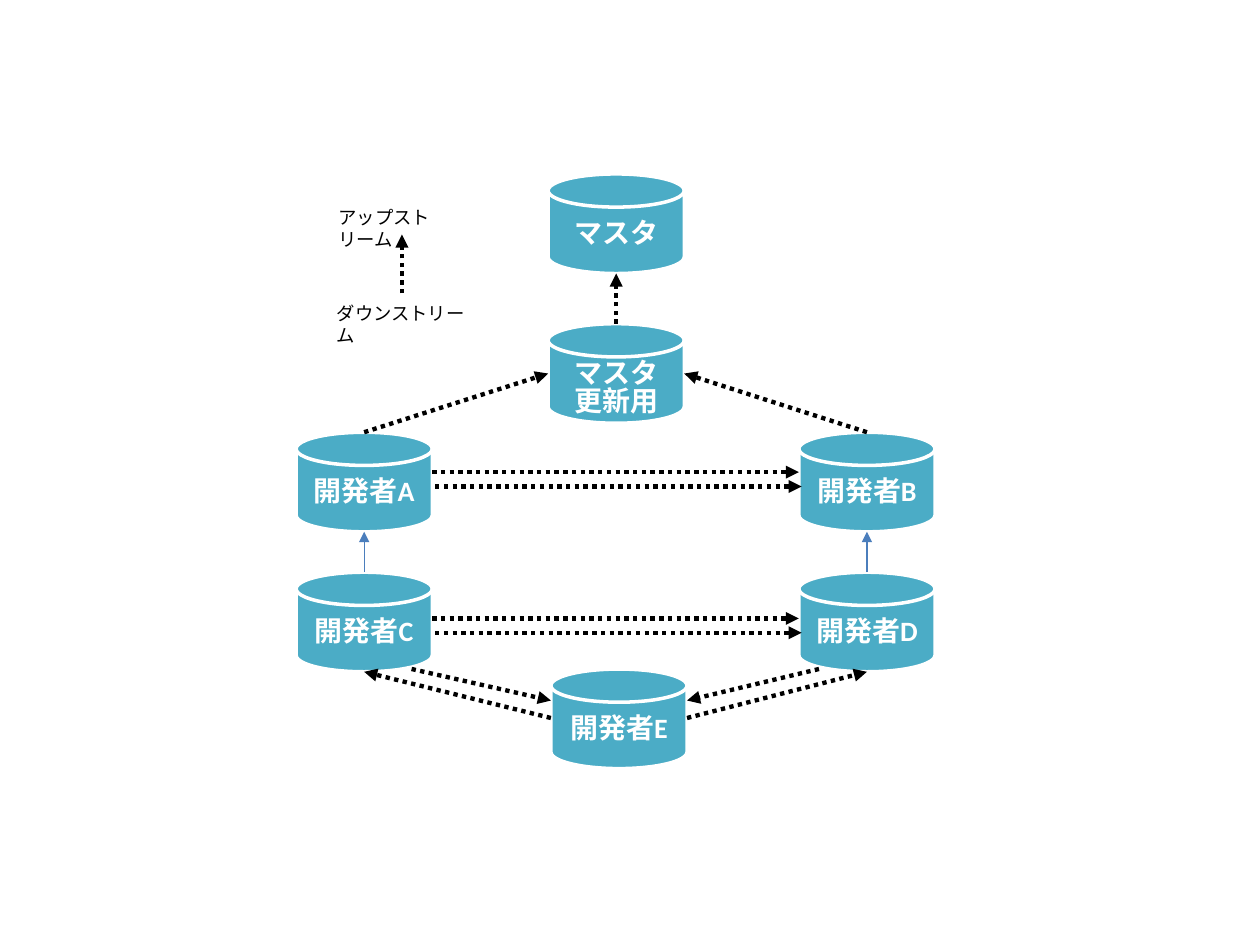
from dataclasses import dataclass
from lxml import etree
from pptx import Presentation
from pptx.dml.color import RGBColor
from pptx.enum import dml, shapes, text
from pptx.oxml import ns
from pptx.util import Pt


@dataclass(frozen=True)
class Theme:
    disk: str = "4BACC6"
    white: str = "FFFFFF"
    ink: str = "000000"
    blue: str = "4B7EBC"
    latin: str = "Calibri"
    asian: str = "Noto Sans CJK JP"
    label: float = 16
    note: float = 10.5
    rim: float = 2
    thick: float = 2.5
    thin: float = 0.75


@dataclass
class Box:
    x: float
    y: float
    w: float = 77.8
    h: float = 56.9

    @property
    def mid(self):
        return self.x + self.w / 2

    @property
    def right(self):
        return self.x + self.w

    @property
    def low(self):
        return self.y + self.h

    @property
    def top(self):
        return self.mid, self.y

    @property
    def foot(self):
        return self.mid, self.low


class Chart:
    def __init__(self, slide, theme):
        self.slide, self.theme = slide, theme

    def run(self, para, words, size, color, bold=False):
        run = para.add_run()
        run.text = words
        font = run.font
        font.size, font.bold = Pt(size), bold
        font.name = self.theme.latin if words.isascii() else self.theme.asian
        font.color.rgb = RGBColor.from_string(color)
        east = etree.SubElement(run._r.get_or_add_rPr(), ns.qn("a:ea"))
        east.set("typeface", self.theme.asian)

    def disk(self, box, lines):
        t = self.theme
        shape = self.slide.shapes.add_shape(
            shapes.MSO_SHAPE.FLOWCHART_MAGNETIC_DISK,
            Pt(box.x), Pt(box.y), Pt(box.w), Pt(box.h))
        shape.shadow.inherit = False
        shape.fill.solid()
        shape.fill.fore_color.rgb = RGBColor.from_string(t.disk)
        shape.line.color.rgb = RGBColor.from_string(t.white)
        shape.line.width = Pt(t.rim)
        frame = shape.text_frame
        frame.word_wrap = True
        frame.vertical_anchor = text.MSO_ANCHOR.MIDDLE
        tight = len(lines) > 1
        if tight:
            frame.margin_top, frame.margin_bottom = Pt(8.64), Pt(0)
        for i, runs in enumerate(lines):
            para = frame.add_paragraph() if i else frame.paragraphs[0]
            para.alignment = text.PP_ALIGN.CENTER
            if tight:
                para.line_spacing = Pt(t.label)
            for words in runs:
                self.run(para, words, t.label, t.white, True)

    def arrow(self, start, end, dotted=True):
        t = self.theme
        wire = self.slide.shapes.add_connector(
            shapes.MSO_CONNECTOR.STRAIGHT, *map(Pt, (*start, *end)))
        line = wire.line
        line.color.rgb = RGBColor.from_string(t.ink if dotted else t.blue)
        line.width = Pt(t.thick if dotted else t.thin)
        if dotted:
            line.dash_style = dml.MSO_LINE.ROUND_DOT
        props = wire._element.spPr
        tip = etree.SubElement(props.find(ns.qn("a:ln")), ns.qn("a:tailEnd"))
        tip.set("type", "triangle")
        etree.SubElement(props, ns.qn("a:effectLst"))

    def note(self, x, y, width, words):
        box = self.slide.shapes.add_textbox(Pt(x), Pt(y), Pt(width), Pt(20))
        frame = box.text_frame
        frame.word_wrap = True
        self.run(frame.paragraphs[0], words, self.theme.note, self.theme.ink)


deck = Presentation()
deck.slide_width, deck.slide_height = Pt(720), Pt(540)
chart = Chart(deck.slides.add_slide(deck.slide_layouts[6]), Theme())

# Repositories
left, centre, right = 169.2, 313.2, 456.5
upper, lower = 247, 327
master, update = Box(centre, 99.4), Box(centre, 185)
a, b = Box(left, upper), Box(right, upper)
c, d = Box(left, lower), Box(right, lower)
e = Box(314.8, 382.3)
chart.disk(master, [["マスタ"]])
chart.disk(update, [["マスタ"], ["更新用"]])
for name, box in zip("ABCDE", (a, b, c, d, e)):
    chart.disk(box, [["開発者", name]])

# Flow up to the master
chart.arrow(update.top, master.foot)
side = update.y + update.h / 2
chart.arrow(a.top, (update.x, side))
chart.arrow(b.top, (update.right, side))
chart.arrow(c.top, a.foot, dotted=False)
chart.arrow(d.top, b.foot, dotted=False)

# Paired flow between developers
for source, goal, y in ((a, b, 269.8), (c, d, 353.4)):
    for shift, drop in ((0, 0), (1.6, 8.2)):
        chart.arrow((source.right + shift, y + drop), (goal.x + shift, y + drop))

# Flow around developer E
for peer, edge, x in ((c, e.x, 235.2), (d, e.right, 468)):
    chart.arrow((x, e.y), (edge, 400.3))
    chart.arrow((edge, 410.3), peer.foot)

# Direction key
chart.arrow((229.7, 167.6), (229.7, 134))
chart.note(186.5, 114.5, 86.4, "アップストリーム")
chart.note(185.5, 169.2, 88.6, "ダウンストリーム")

deck.save("out.pptx")
